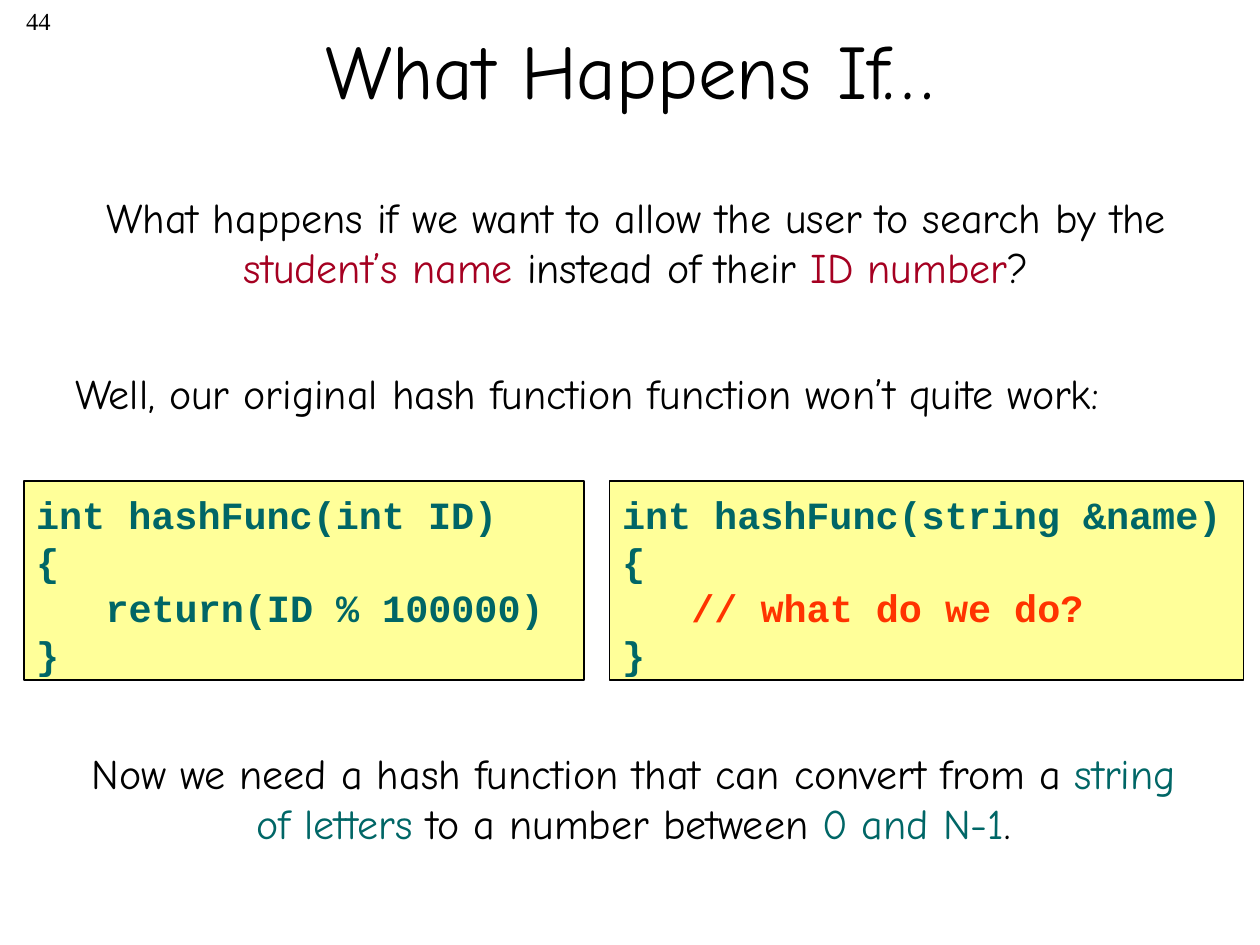
import pptx
import pptx.util
import pptx.dml.color
import pptx.enum.shapes
import pptx.enum.text
from pptx.util import Cm

RGBColor = pptx.dml.color.RGBColor
ALIGN = pptx.enum.text.PP_ALIGN
ANCHOR = pptx.enum.text.MSO_ANCHOR

BLACK = RGBColor(0x00, 0x00, 0x00)
CRIMSON = RGBColor(0xA5, 0x00, 0x21)
TEAL = RGBColor(0x00, 0x66, 0x66)
ORANGE = RGBColor(0xFF, 0x33, 0x00)
YELLOW = RGBColor(0xFF, 0xFF, 0x99)


def write(paragraph, text, font="Comic Neue", size=24, color=BLACK, bold=False):
    run = paragraph.add_run()
    run.text = text
    run.font.name = font
    run.font.size = pptx.util.Pt(size)
    run.font.color.rgb = color
    run.font.bold = bold


class HashSlide:
    code_style = dict(font="Courier New", size=22, bold=True)
    code_line = pptx.util.Pt(26.6)
    code_indent = Cm(1.4)

    def __init__(self, deck):
        self.slide = deck.slides.add_slide(deck.slide_layouts[5])

    def title(self, text, left, top, width, height):
        heading = self.slide.shapes.title
        heading.left, heading.top = Cm(left), Cm(top)
        heading.width, heading.height = Cm(width), Cm(height)
        heading.text_frame.vertical_anchor = ANCHOR.MIDDLE
        paragraph = heading.text_frame.paragraphs[0]
        paragraph.alignment = ALIGN.CENTER
        write(paragraph, text, size=44)

    def statement(self, parts, left, top, width, height, align=ALIGN.CENTER, **style):
        box = self.slide.shapes.add_textbox(Cm(left), Cm(top), Cm(width), Cm(height))
        box.text_frame.word_wrap = True
        paragraph = box.text_frame.paragraphs[0]
        paragraph.alignment = align
        for text, color in parts:
            write(paragraph, text, color=color, **style)

    def code(self, signature, body, body_color, left, width, top=9.7, height=4.01):
        panel = self.slide.shapes.add_shape(
            pptx.enum.shapes.MSO_SHAPE.RECTANGLE, Cm(left), Cm(top), Cm(width), Cm(height))
        panel.shadow.inherit = False
        panel.fill.solid()
        panel.fill.fore_color.rgb = YELLOW
        panel.line.color.rgb = BLACK
        panel.line.width = pptx.util.Pt(1)
        frame = panel.text_frame
        frame.word_wrap = True
        frame.vertical_anchor = ANCHOR.TOP
        frame.margin_top = Cm(0.2)
        lines = [(signature, TEAL), ("{", TEAL), (body, body_color), ("}", TEAL)]
        for number, (text, color) in enumerate(lines):
            paragraph = frame.add_paragraph() if number else frame.paragraphs[0]
            paragraph.alignment = ALIGN.LEFT
            paragraph.line_spacing = self.code_line
            if text == body:
                paragraph._p.get_or_add_pPr().set("marL", str(self.code_indent))
            write(paragraph, text, color=color, **self.code_style)


def main():
    deck = pptx.Presentation()
    deck.slide_width, deck.slide_height = Cm(25.4), Cm(19.05)
    page = HashSlide(deck)
    page.statement([("44", BLACK)], 0, 0, 1.27, 1.27, align=ALIGN.RIGHT,
                   font="Times New Roman", size=14)
    page.title("What Happens If…", 1.9, -0.2, 21.6, 3.18)
    page.statement([("What happens if we want to allow the user to search by the ", BLACK),
                    ("student’s name", CRIMSON), (" instead of their ", BLACK),
                    ("ID number", CRIMSON), ("?", BLACK)], 1.07, 3.73, 23.5, 2.31)
    page.statement([("Well, our original hash function function won’t quite work:", BLACK)],
                   1.27, 7.29, 23.27, 1.27, align=ALIGN.LEFT)
    page.code("int hashFunc(int ID)", "return(ID % 100000)", TEAL, 0.48, 11.3)
    page.code("int hashFunc(string &name)", "// what do we do?", ORANGE, 12.29, 12.78)
    page.statement([("Now we need a hash function that can convert from a ", BLACK),
                    ("string of letters", TEAL), (" to a number between ", BLACK),
                    ("0 and N-1", TEAL), (".", BLACK)], 1.22, 14.94, 23.11, 2.29)
    deck.save("out.pptx")


if __name__ == "__main__":
    main()
